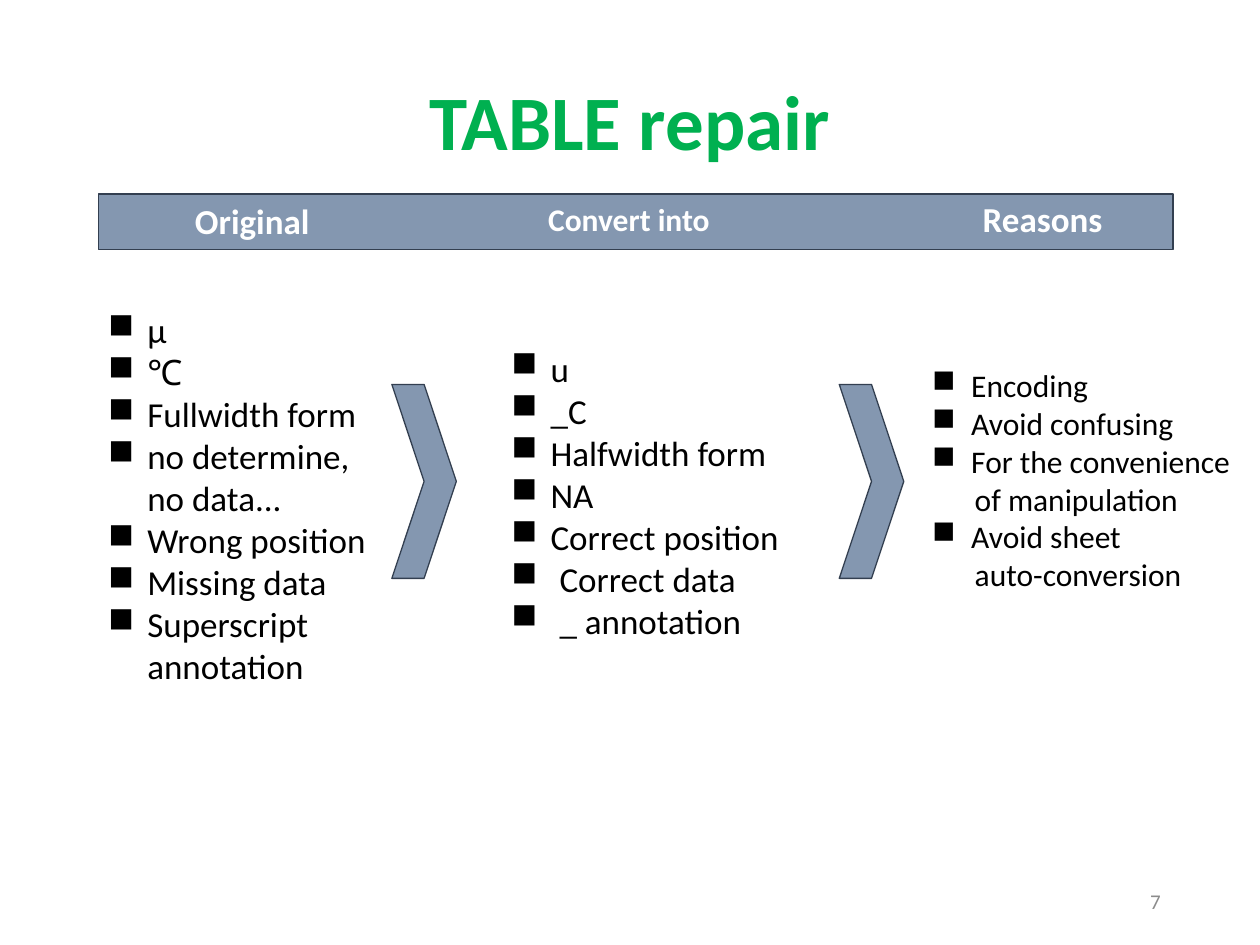
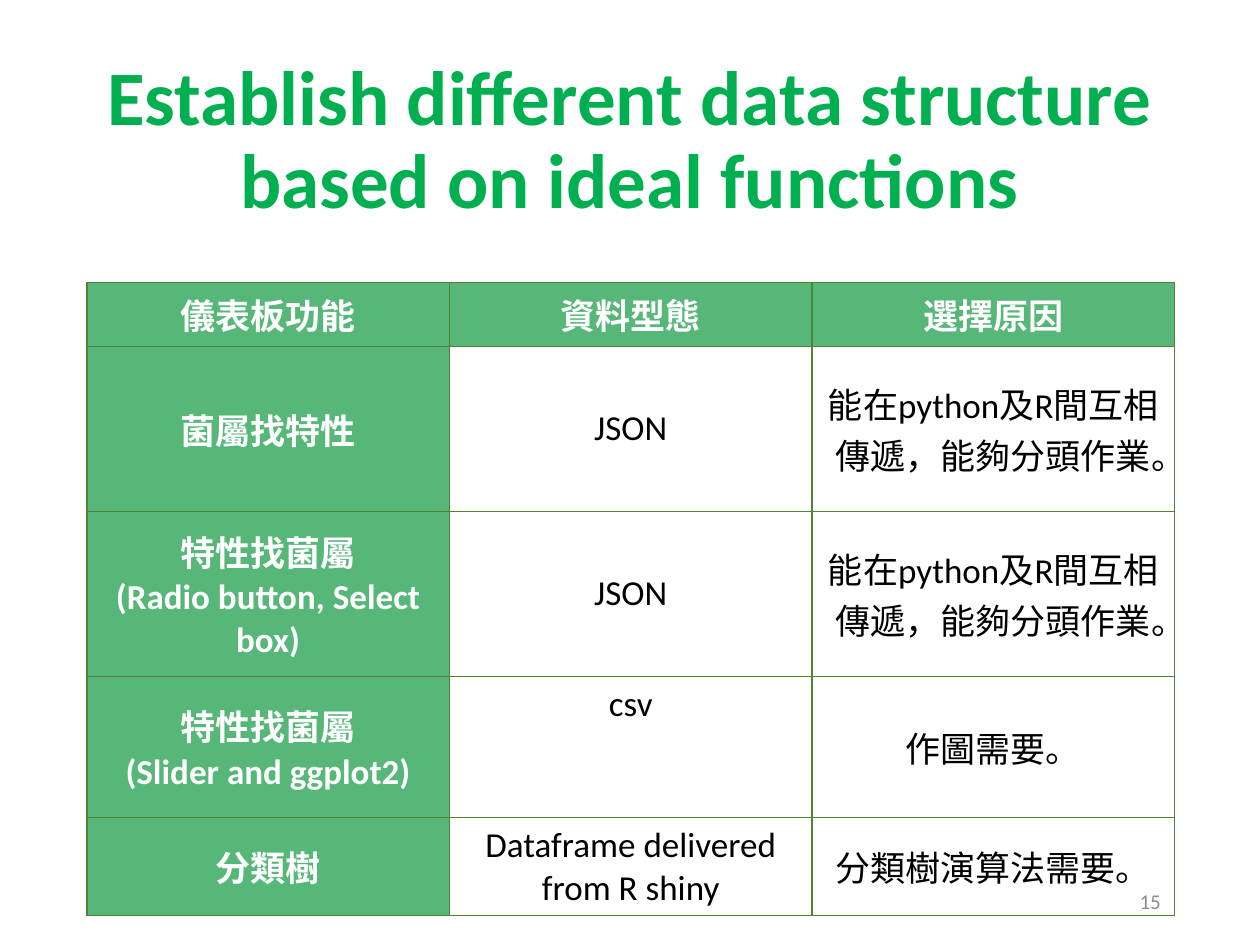
import pptx
import pptx.dml.color
import pptx.enum.shapes
import pptx.enum.text
import pptx.oxml.ns
import pptx.util
from lxml import etree
from pptx.util import Cm

FONT = "Calibri"
COLORS = {
    "title": "00B050",
    "band": "8497B0",
    "band_line": "333F50",
    "header_cell": "57B779",
    "grid": "548235",
    "light": "FFFFFF",
    "dark": "000000",
    "page": "8C8C8C",
}
ALIGN = pptx.enum.text.PP_ALIGN
ANCHOR = pptx.enum.text.MSO_ANCHOR
SHAPE = pptx.enum.shapes.MSO_SHAPE

HANG = 0.79
WIDE_HANG = 0.97
CONTINUATION = 0.86

ORIGINALS = ["μ", "℃", "Fullwidth form", "no determine, no data...",
             "Wrong position", "Missing data", "Superscript annotation"]
CONVERSIONS = ["u", "_C", "Halfwidth form", "NA", "Correct position",
               ("Correct data", WIDE_HANG, True), ("_ annotation", WIDE_HANG, True)]
REASONS = ["Encoding", "Avoid confusing", "For the convenience",
           ("of manipulation", CONTINUATION, False),
           "Avoid sheet", ("auto-conversion", CONTINUATION, False)]

SHARED_REASON = "能在python及R間互相傳遞，能夠分頭作業。"
FUNCTION_ROWS = [
    (["儀表板功能"], ["資料型態"], ["選擇原因"]),
    (["菌屬找特性"], ["JSON"], [SHARED_REASON]),
    (["特性找菌屬", "(Radio button, Select box)"], ["JSON"], [SHARED_REASON]),
    (["特性找菌屬", "(Slider and ggplot2)"], ["csv"], ["作圖需要。"]),
    (["分類樹"], ["Dataframe delivered from R shiny"], ["分類樹演算法需要。"]),
]
ROW_HEIGHTS = [1.29, 3.33, 3.33, 2.84, 1.98]
COLUMN_WIDTH = 7.31


def rgb(name):
    return pptx.dml.color.RGBColor.from_string(COLORS[name])


def write_text(frame, lines, size=20, color="dark", bold=False,
               align=ALIGN.LEFT, spacing=None):
    """Fill a text frame, one paragraph for each line."""
    for index, line in enumerate(lines):
        paragraph = frame.paragraphs[0] if index == 0 else frame.add_paragraph()
        paragraph.alignment = align
        if spacing:
            paragraph.line_spacing = spacing
        run = paragraph.add_run()
        run.text = line
        run.font.name = FONT
        run.font.size = pptx.util.Pt(size)
        run.font.bold = bold
        run.font.color.rgb = rgb(color)


def add_text(slide, box, lines, wrap=True, anchor=ANCHOR.TOP, **text_format):
    frame = slide.shapes.add_textbox(*map(Cm, box)).text_frame
    frame.word_wrap = wrap
    frame.vertical_anchor = anchor
    if not wrap:
        frame.auto_size = pptx.enum.text.MSO_AUTO_SIZE.SHAPE_TO_FIT_TEXT
    write_text(frame, lines, **text_format)
    return frame


def add_bullets(slide, box, items, **text_format):
    """Items are texts, or (text, indent in cm, has bullet)."""
    entries = [(item, HANG, True) if isinstance(item, str) else item for item in items]
    frame = add_text(slide, box, [text for text, _, _ in entries], **text_format)
    for paragraph, (_, indent, has_bullet) in zip(frame.paragraphs, entries):
        properties = paragraph._p.get_or_add_pPr()
        properties.set("marL", str(Cm(indent)))
        if has_bullet:
            properties.set("indent", str(-Cm(indent)))
            bullet = etree.SubElement(properties, pptx.oxml.ns.qn("a:buChar"))
            bullet.set("char", "■")


def add_block(slide, preset, box):
    block = slide.shapes.add_shape(preset, *map(Cm, box))
    block.shadow.inherit = False
    block.fill.solid()
    block.fill.fore_color.rgb = rgb("band")
    block.line.color.rgb = rgb("band_line")
    block.line.width = pptx.util.Pt(0.75)


def set_borders(cell):
    properties = cell._tc.get_or_add_tcPr()
    for side in ("lnL", "lnR", "lnT", "lnB"):
        line = etree.SubElement(properties, pptx.oxml.ns.qn(f"a:{side}"))
        line.set("w", str(pptx.util.Pt(1)))
        fill = etree.SubElement(line, pptx.oxml.ns.qn("a:solidFill"))
        etree.SubElement(fill, pptx.oxml.ns.qn("a:srgbClr")).set("val", COLORS["grid"])


def fill_cell(cell, lines, is_header):
    set_borders(cell)
    if is_header:
        cell.fill.solid()
        cell.fill.fore_color.rgb = rgb("header_cell")
    else:
        cell.fill.background()
    cell.vertical_anchor = ANCHOR.MIDDLE
    write_text(cell.text_frame, lines, bold=is_header, align=ALIGN.CENTER,
               color="light" if is_header else "dark")


def add_function_table(slide):
    columns = len(FUNCTION_ROWS[0])
    table = slide.shapes.add_table(
        len(FUNCTION_ROWS), columns, Cm(1.75), Cm(5.69),
        Cm(COLUMN_WIDTH * columns), Cm(sum(ROW_HEIGHTS))).table
    table.horz_banding = False
    for column in table.columns:
        column.width = Cm(COLUMN_WIDTH)
    for r, (height, row) in enumerate(zip(ROW_HEIGHTS, FUNCTION_ROWS)):
        table.rows[r].height = Cm(height)
        for c, lines in enumerate(row):
            fill_cell(table.cell(r, c), lines, is_header=r == 0 or c == 0)
    table.cell(3, 1).vertical_anchor = ANCHOR.TOP


def add_titled_slide(deck, title, title_top):
    slide = deck.slides.add_slide(deck.slide_layouts[6])
    add_text(slide, (1.75, title_top, 21.9, 3.68), [title], anchor=ANCHOR.MIDDLE,
             size=44, color="title", bold=True, align=ALIGN.CENTER, spacing=0.9)
    return slide


def add_page_number(slide, number):
    add_text(slide, (17.93, 17.65, 5.72, 1.02), [number], anchor=ANCHOR.MIDDLE,
             size=12, color="page", align=ALIGN.RIGHT)


def build_repair_slide(deck):
    slide = add_titled_slide(deck, "TABLE repair", 0.69)
    for chevron_left in (7.9, 16.92):
        add_block(slide, SHAPE.CHEVRON, (chevron_left, 7.75, 1.3, 3.91))
    add_block(slide, SHAPE.RECTANGLE, (1.98, 3.91, 21.67, 1.12))
    for heading, left, top, width, size in (
            ("Original", 3.68, 3.89, 2.84, 20),
            ("Convert into", 10.8, 3.91, 3.78, 18),
            ("Reasons", 19.56, 3.86, 2.95, 20)):
        add_text(slide, (left, top, width, 1.12), [heading], wrap=False,
                 size=size, color="light", bold=True)
    add_bullets(slide, (1.93, 6.1, 5.89, 8.71), ORIGINALS)
    add_bullets(slide, (10.06, 6.88, 5.97, 7.09), CONVERSIONS, wrap=False)
    add_bullets(slide, (18.54, 7.26, 6.6, 6.4), REASONS, wrap=False, size=18)
    add_page_number(slide, "7")


def build_structure_slide(deck):
    slide = add_titled_slide(
        deck, "Establish different data structure based on ideal functions", 1.02)
    add_function_table(slide)
    add_page_number(slide, "15")


def main():
    deck = pptx.Presentation()
    deck.slide_width, deck.slide_height = Cm(25.4), Cm(19.05)
    build_repair_slide(deck)
    build_structure_slide(deck)
    deck.save("out.pptx")


if __name__ == "__main__":
    main()
